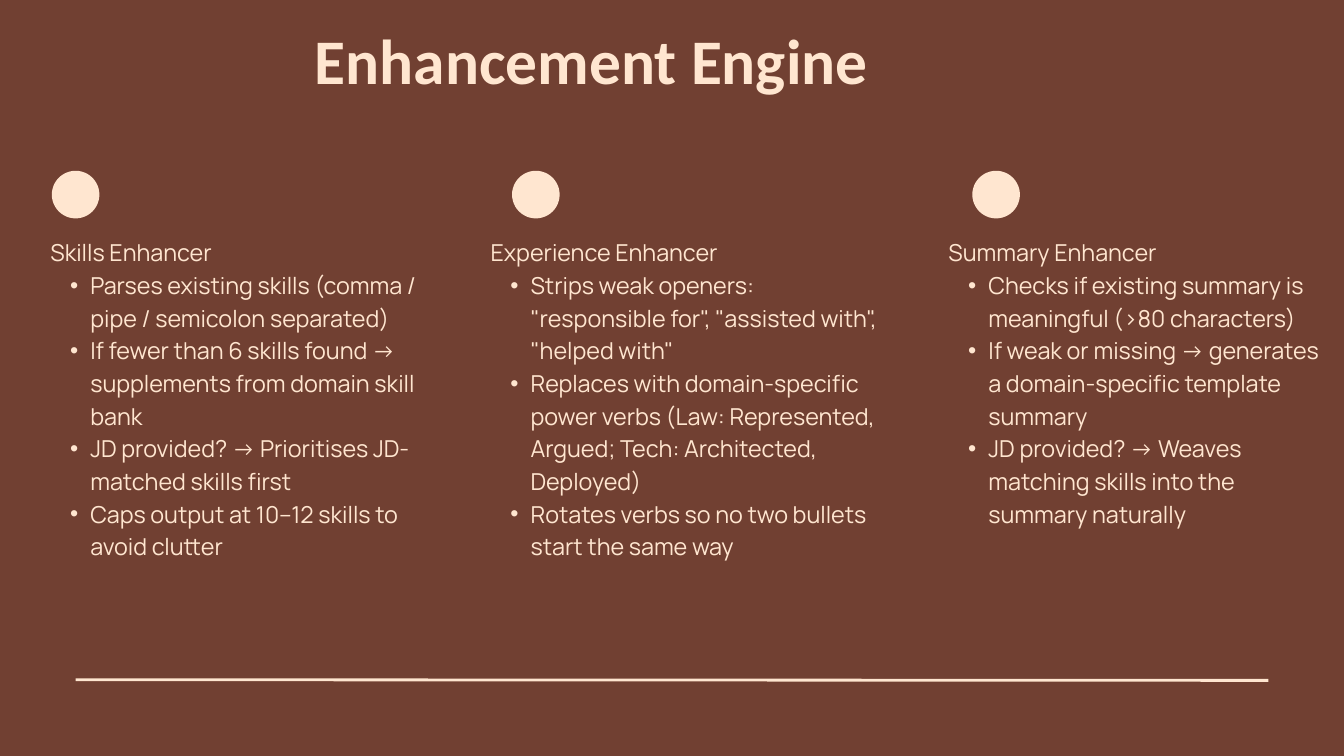
from lxml.etree import SubElement
from pptx import Presentation
from pptx.dml.color import RGBColor
from pptx.enum.shapes import MSO_CONNECTOR, MSO_SHAPE
from pptx.enum.text import MSO_ANCHOR, MSO_AUTO_SIZE, PP_ALIGN
from pptx.oxml.ns import qn
from pptx.util import Pt

PX = 9525  # EMU per px, slide is 1920 x 1080 px
BROWN, CREAM = "714032", "FFE6D0"

TITLE = "Enhancement Engine"
# heading, left, width, height, bullets
COLUMNS = [
    ("Skills Enhancer", 72, 537, 552, [
        "Parses existing skills (comma / pipe / semicolon separated)",
        "If fewer than 6 skills found → supplements from domain skill bank",
        "JD provided? → Prioritises JD-matched skills first",
        "Caps output at 10–12 skills to avoid clutter",
    ]),
    ("Experience Enhancer", 701, 563, 552, [
        'Strips weak openers: "responsible for", "assisted with", "helped with"',
        "Replaces with domain-specific power verbs "
        "(Law: Represented, Argued; Tech: Architected, Deployed)",
        "Rotates verbs so no two bullets start the same way",
    ]),
    ("Summary Enhancer", 1355, 538, 506, [
        "Checks if existing summary is meaningful (>80 characters)",
        "If weak or missing → generates a domain-specific template summary",
        "JD provided? → Weaves matching skills into the summary naturally",
    ]),
]
COLUMN_TOP = 334
DOT_LEFT, DOT_TOP, DOT_SIZE, DOT_STEP = 74, 244, 68, 657.5
RULE = (108, 971, 1812, 972)


def px(*lengths):
    return [round(length * PX) for length in lengths]


def color(hex_code):
    return RGBColor.from_string(hex_code)


def place(holder, *box):
    """Move a placeholder and clear its inherited text layout."""
    holder.left, holder.top, holder.width, holder.height = px(*box)
    frame = holder.text_frame
    frame.margin_left = frame.margin_top = frame.margin_right = frame.margin_bottom = 0
    frame.word_wrap = True
    frame.auto_size = MSO_AUTO_SIZE.NONE
    frame.vertical_anchor = MSO_ANCHOR.TOP
    return frame


def style(paragraph, font_name, size, leading, bold=False):
    paragraph.alignment = PP_ALIGN.LEFT
    paragraph.line_spacing = Pt(leading)
    paragraph.space_before = paragraph.space_after = Pt(0)
    font = paragraph.font
    font.name, font.size, font.bold = font_name, Pt(size), bold
    font.color.rgb = color(CREAM)


def set_bullet(paragraph, bulleted):
    props = paragraph._p.get_or_add_pPr()
    margin, indent = px(57, -29) if bulleted else (0, 0)
    props.set("marL", str(margin))
    props.set("indent", str(indent))
    if bulleted:
        SubElement(props, qn("a:buFont")).set("typeface", "Arial")
        SubElement(props, qn("a:buChar")).set("char", "•")
    else:
        SubElement(props, qn("a:buNone"))


def fill_column(frame, heading, bullets):
    frame.text = "\n".join([heading, *bullets])
    for i, paragraph in enumerate(frame.paragraphs):
        paragraph.level = int(i > 0)
        set_bullet(paragraph, i > 0)
        style(paragraph, "Manrope", 25, 35)


def add_dot(slide, left):
    dot = slide.shapes.add_shape(
        MSO_SHAPE.OVAL, *px(left, DOT_TOP, DOT_SIZE, DOT_SIZE))
    dot.shadow.inherit = False
    dot.fill.solid()
    dot.fill.fore_color.rgb = color(CREAM)
    dot.line.fill.background()


def add_rule(slide):
    rule = slide.shapes.add_connector(MSO_CONNECTOR.STRAIGHT, *px(*RULE))
    rule.line.color.rgb = color(CREAM)
    rule.line.width = Pt(3)
    SubElement(rule._element.spPr, qn("a:effectLst"))


def main():
    deck = Presentation()
    deck.slide_width, deck.slide_height = px(1920, 1080)
    slide = deck.slides.add_slide(deck.slide_layouts.get_by_name("Comparison"))
    slide.background.fill.solid()
    slide.background.fill.fore_color.rgb = color(BROWN)

    title, *bodies = slide.placeholders
    title_frame = place(title, 450, 48, 1020, 114)
    title_frame.text = TITLE
    style(title_frame.paragraphs[0], "Calibri", 68, 68, bold=True)

    for i, (heading, left, width, height, bullets) in enumerate(COLUMNS):
        frame = place(bodies[i], left, COLUMN_TOP, width, height)
        fill_column(frame, heading, bullets)
        add_dot(slide, DOT_LEFT + i * DOT_STEP)
    for spare in bodies[len(COLUMNS):]:
        spare._element.getparent().remove(spare._element)

    add_rule(slide)
    deck.save("out.pptx")


if __name__ == "__main__":
    main()
